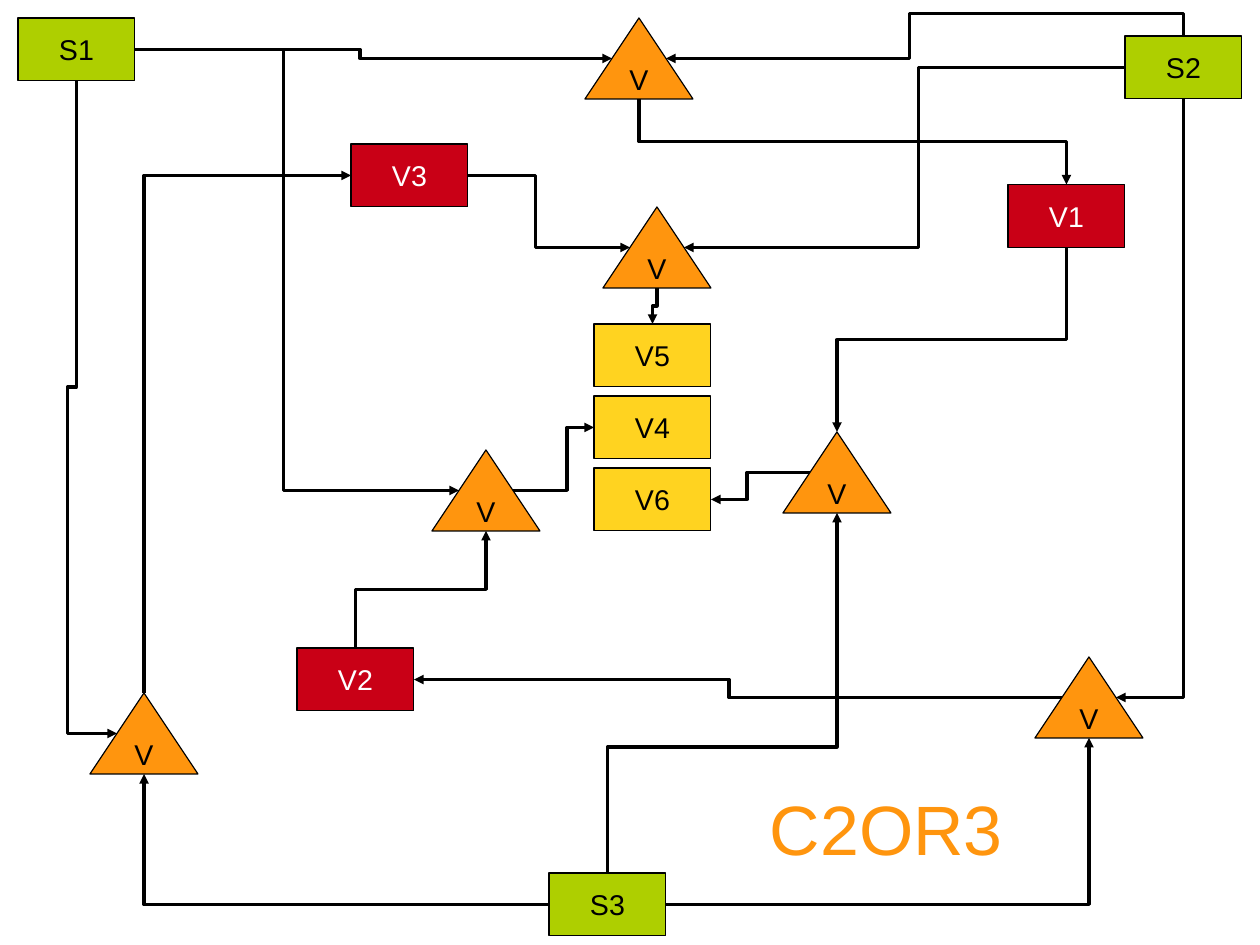
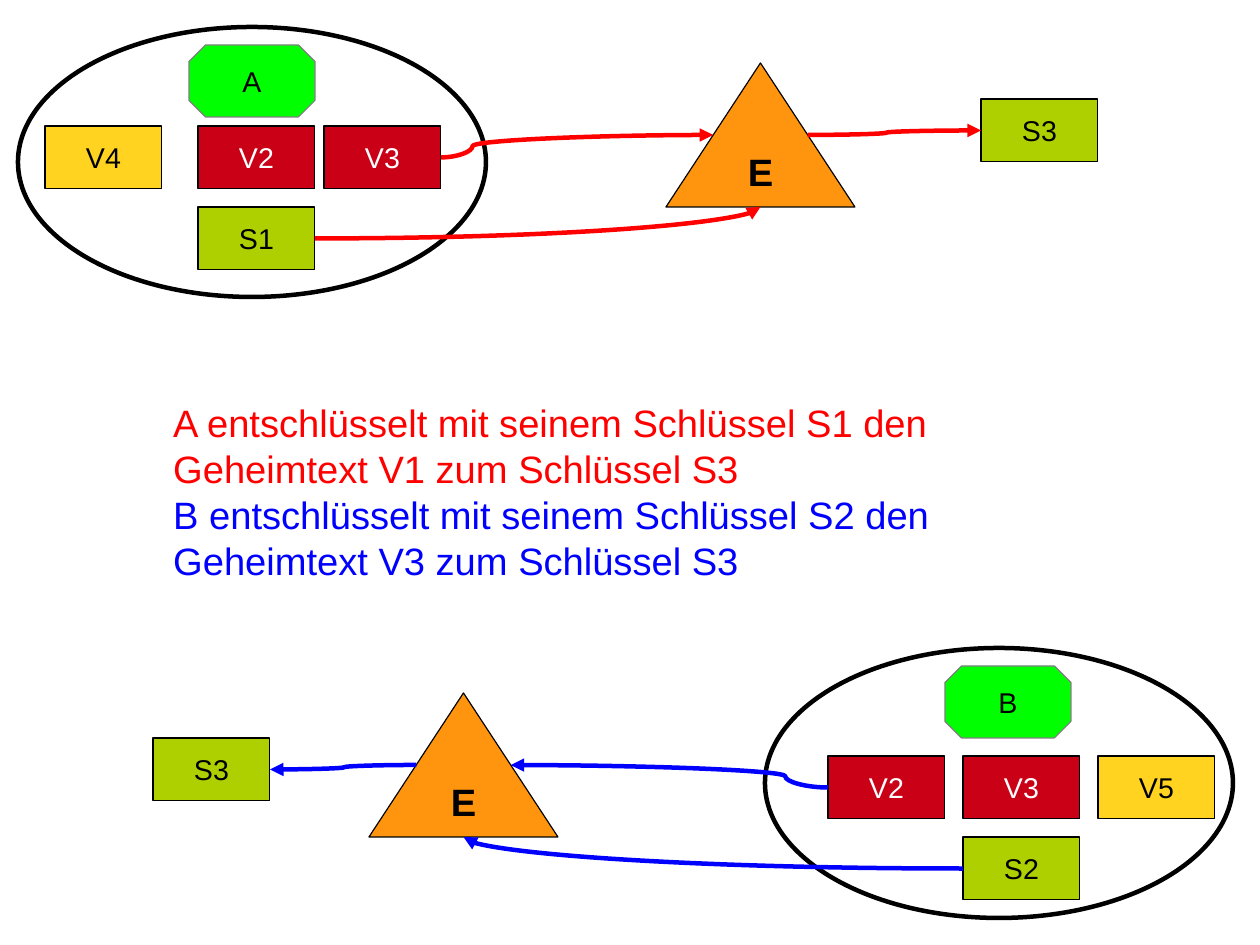
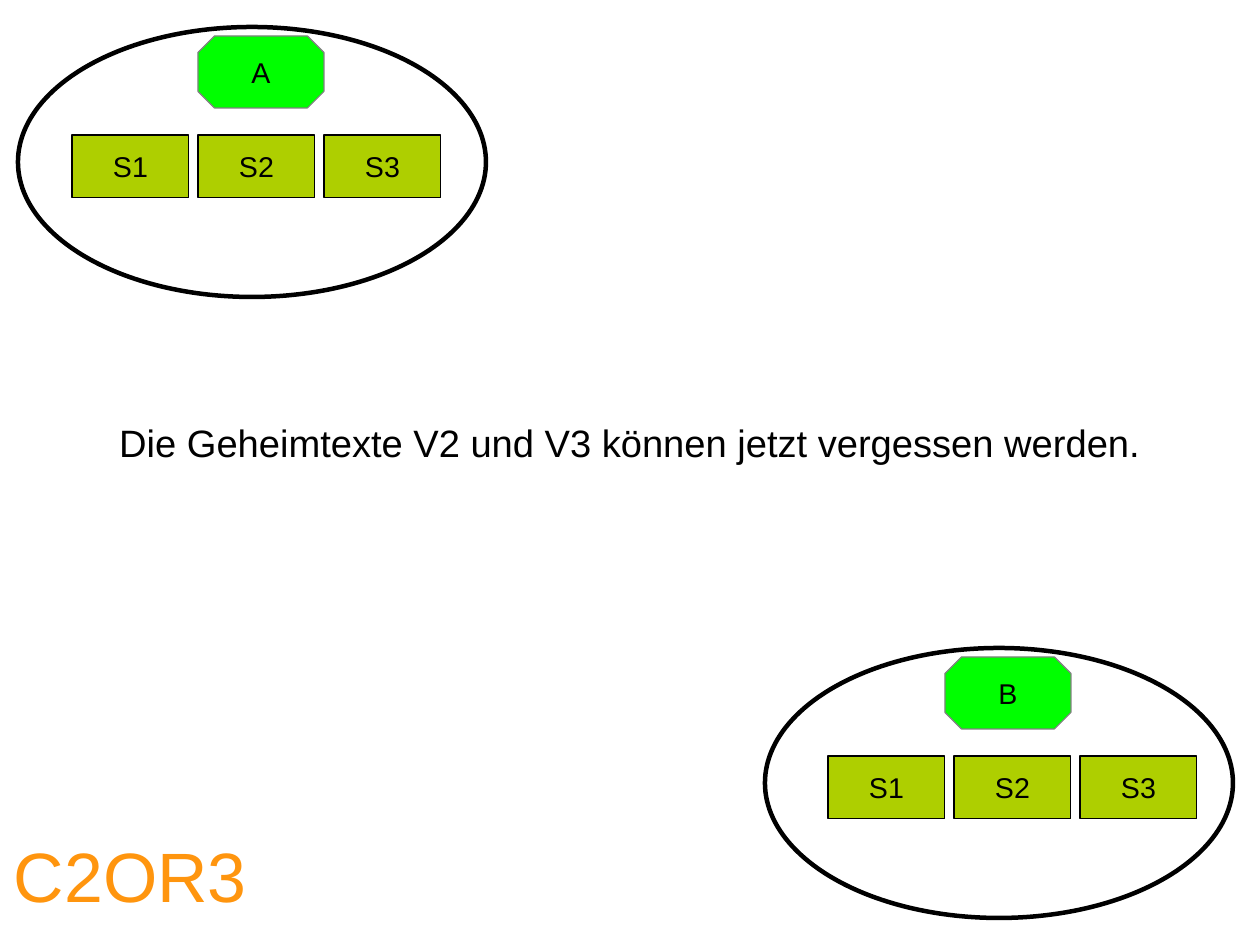
from dataclasses import dataclass

from lxml.etree import SubElement
from pptx import Presentation
from pptx.dml.color import RGBColor
from pptx.enum.shapes import MSO_CONNECTOR, MSO_SHAPE
from pptx.enum.text import MSO_ANCHOR, MSO_AUTO_SIZE, PP_ALIGN
from pptx.oxml.ns import qn
from pptx.util import Cm, Pt


@dataclass(frozen=True)
class Theme:
    font: str = "Arial"
    black: str = "000000"
    white: str = "FFFFFF"
    grey: str = "808080"
    key: str = "AECF00"
    cipher: str = "C90016"
    result: str = "FFD320"
    operator: str = "FF950E"
    person: str = "00FF00"
    a_side: str = "FF0000"
    b_side: str = "0000FF"
    label: int = 18
    body: int = 24
    title: int = 44
    hairline: float = 0
    bold_line: float = 2.83


T = Theme()
TITLE_ONLY, BLANK = 5, 6

# Connection sites: side -> (index, share of width, share of height)
RECT_SITES = {"top": (0, 0.5, 0), "left": (1, 0, 0.5),
              "bottom": (2, 0.5, 1), "right": (3, 1, 0.5)}
TRIANGLE_SITES = {"top": (0, 0.5, 0), "left": (1, 0.25, 0.5),
                  "bottom": (3, 0.5, 1), "right": (5, 0.75, 0.5)}


# Text
def write(tf, text, size=T.label, color=T.black, bold=False,
          align=PP_ALIGN.LEFT, new=False):
    p = tf.add_paragraph() if new else tf.paragraphs[0]
    p.alignment = align
    r = p.add_run()
    r.text = text
    r.font.name, r.font.size, r.font.bold = T.font, Pt(size), bold
    r.font.color.rgb = RGBColor.from_string(color)


def note(s, x, y, w, h, lines):
    tf = s.shapes.add_textbox(Cm(x), Cm(y), Cm(w), Cm(h)).text_frame
    tf.word_wrap = True
    for i, (text, color) in enumerate(lines):
        write(tf, text, size=T.body, color=color, new=i > 0)


def title(s, x, y):
    sp = s.shapes.title
    sp.left, sp.top, sp.width, sp.height = Cm(x), Cm(y), Cm(5.4), Cm(2.77)
    tf = sp.text_frame
    tf.auto_size = MSO_AUTO_SIZE.NONE
    tf.vertical_anchor = MSO_ANCHOR.MIDDLE
    tf.margin_left = tf.margin_right = tf.margin_top = tf.margin_bottom = 0
    write(tf, "C2OR3", size=T.title, color=T.operator, align=PP_ALIGN.CENTER)


# Shapes
def node(s, kind, x, y, w, h, text="", fill=None, line=T.black,
         weight=T.hairline, **text_format):
    sp = s.shapes.add_shape(kind, Cm(x), Cm(y), Cm(w), Cm(h))
    sp.shadow.inherit = False
    if fill:
        sp.fill.solid()
        sp.fill.fore_color.rgb = RGBColor.from_string(fill)
    else:
        sp.fill.background()
    sp.line.color.rgb = RGBColor.from_string(line)
    sp.line.width = Pt(weight)
    if text:
        tf = sp.text_frame
        tf.word_wrap = False
        tf.vertical_anchor = MSO_ANCHOR.MIDDLE
        write(tf, text, align=PP_ALIGN.CENTER, **text_format)
    return sp


def box(s, text, x, y, fill):
    color = T.white if fill == T.cipher else T.black
    return node(s, MSO_SHAPE.RECTANGLE, x, y, 2.6, 1.4, text, fill, color=color)


def encrypt(s, x, y):
    return node(s, MSO_SHAPE.ISOSCELES_TRIANGLE, x, y, 2.4, 1.8, "V", T.operator)


def decrypt(s, x, y):
    return node(s, MSO_SHAPE.ISOSCELES_TRIANGLE, x, y, 4.2, 3.2, "E", T.operator,
                size=T.body, bold=True)


def person(s, name, x, y, badge_dx, badge_dy):
    node(s, MSO_SHAPE.OVAL, x, y, 10.4, 6, weight=T.bold_line)
    badge = node(s, MSO_SHAPE.OCTAGON, x + badge_dx, y + badge_dy, 2.8, 1.6,
                 name, T.person, line=T.grey)
    badge.adjustments[0] = 0.23


# Connectors
def site(sp, side):
    triangle = sp.auto_shape_type == MSO_SHAPE.ISOSCELES_TRIANGLE
    index, fx, fy = (TRIANGLE_SITES if triangle else RECT_SITES)[side]
    return index, sp.left + sp.width * fx, sp.top + sp.height * fy


def link(s, source, out_side, target, in_side, *bends, curved=False,
         color=T.black, weight=T.hairline):
    """Join two shapes; bends are the positions (cm) of the inner segments,
    alternating between the axis of departure and the axis across it."""
    out_index, x1, y1 = site(source, out_side)
    in_index, x2, y2 = site(target, in_side)
    dx, dy = x2 - x1, y2 - y1

    # Turn the preset route, which departs to the right, to the side it leaves
    if out_side in ("left", "right"):
        w, h, axes = abs(dx), abs(dy), ((x1, dx), (y1, dy))
        turn, flip_h, flip_v = 0 if dx > 0 else 180, False, (dx > 0) != (dy > 0)
    else:
        w, h, axes = abs(dy), abs(dx), ((y1, dy), (x1, dx))
        turn, flip_h, flip_v = 90, dy < 0, dx > 0
        if dx > 0 and dy > 0:
            turn, flip_h, flip_v = 270, True, False
    half_w = -w / 2 if flip_h else w / 2
    half_h = -h / 2 if flip_v else h / 2
    mid_x, mid_y = (x1 + x2) / 2, (y1 + y2) / 2
    cx = s.shapes.add_connector(
        MSO_CONNECTOR.CURVE if curved else MSO_CONNECTOR.ELBOW,
        int(mid_x - half_w), int(mid_y - half_h),
        int(mid_x + half_w), int(mid_y + half_h))
    cx.rotation = turn
    cx.line.color.rgb = RGBColor.from_string(color)
    cx.line.width = Pt(weight)

    # Route, arrowhead, no shadow
    props = cx._element.spPr
    geom = props.find(qn("a:prstGeom"))
    geom.set("prst", f"{'curved' if curved else 'bent'}Connector{len(bends) + 2}")
    guides = geom.find(qn("a:avLst"))
    if guides is None:
        guides = SubElement(geom, qn("a:avLst"))
    for i, (bend, (start, length)) in enumerate(zip(bends, axes), 1):
        share = round((Cm(bend) - start) / length * 100000)
        SubElement(guides, qn("a:gd"), name=f"adj{i}", fmla=f"val {share}")
    SubElement(props.find(qn("a:ln")), qn("a:tailEnd"), type="triangle")
    SubElement(props, qn("a:effectLst"))

    # Joints at both ends; triangles have more than four sites
    joints = cx._element.find(qn("p:nvCxnSpPr")).find(qn("p:cNvCxnSpPr"))
    for tag, sp, index in (("a:stCxn", source, out_index),
                           ("a:endCxn", target, in_index)):
        SubElement(joints, qn(tag), id=str(sp.shape_id), idx=str(index))


# Slides
def encryption_slide(prs):
    s = prs.slides.add_slide(prs.slide_layouts[TITLE_ONLY])
    s1 = box(s, "S1", 0.4, 0.4, T.key)
    s2 = box(s, "S2", 25, 0.8, T.key)
    s3 = box(s, "S3", 12.2, 19.4, T.key)
    v1 = box(s, "V1", 22.4, 4.1, T.cipher)
    v2 = box(s, "V2", 6.6, 14.4, T.cipher)
    v3 = box(s, "V3", 7.8, 3.2, T.cipher)
    v5, v4, v6 = [box(s, name, 13.2, 7.2 + 1.6 * i, T.result)
                  for i, name in enumerate(("V5", "V4", "V6"))]
    to_v1 = encrypt(s, 13, 0.4)
    to_v2 = encrypt(s, 23, 14.6)
    to_v3 = encrypt(s, 2, 15.4)
    to_v4 = encrypt(s, 9.6, 10)
    to_v5 = encrypt(s, 13.4, 4.6)
    to_v6 = encrypt(s, 17.4, 9.6)

    for route in (
        # Keys to ciphertexts V1 to V3
        (s1, "right", to_v1, "left", 8),
        (s2, "top", to_v1, "right", 0.3, 20.2),
        (to_v1, "bottom", v1, "top", 3.15),
        (s3, "right", to_v2, "bottom"),
        (s2, "bottom", to_v2, "right"),
        (to_v2, "left", v2, "right", 16.2),
        (s3, "left", to_v3, "bottom"),
        (s1, "bottom", to_v3, "left", 8.6, 1.5),
        (to_v3, "top", v3, "left"),
        # Ciphertexts and keys to results V4 to V6
        (v2, "top", to_v4, "bottom", 13.1),
        (s1, "right", to_v4, "left", 6.3),
        (to_v4, "right", v4, "left", 12.6),
        (v3, "right", to_v5, "left", 11.9),
        (s2, "left", to_v5, "right", 20.4),
        (to_v5, "bottom", v5, "top", 6.8),
        (v1, "bottom", to_v6, "top", 7.55),
        (s3, "top", to_v6, "bottom", 16.6),
        (to_v6, "left", v6, "right", 16.6),
    ):
        link(s, *route)
    title(s, 17, 17)


def decryption_slide(prs):
    s = prs.slides.add_slide(prs.slide_layouts[BLANK])
    person(s, "B", 17, 14.4, 4, 0.4)
    person(s, "A", 0.4, 0.6, 3.8, 0.4)

    # What A and B hold
    box(s, "V4", 1, 2.8, T.result)
    box(s, "V2", 4.4, 2.8, T.cipher)
    a_cipher = box(s, "V3", 7.2, 2.8, T.cipher)
    a_key = box(s, "S1", 4.4, 4.6, T.key)
    b_cipher = box(s, "V2", 18.4, 16.8, T.cipher)
    box(s, "V3", 21.4, 16.8, T.cipher)
    box(s, "V5", 24.4, 16.8, T.result)
    b_key = box(s, "S2", 21.4, 18.6, T.key)

    # Decryption to S3
    a_step, a_out = decrypt(s, 14.8, 1.4), box(s, "S3", 21.8, 2.2, T.key)
    b_step, b_out = decrypt(s, 8.2, 15.4), box(s, "S3", 3.4, 16.4, T.key)
    for color, routes in (
        (T.a_side, ((a_key, "right", a_step, "bottom"),
                    (a_cipher, "right", a_step, "left", 10.5),
                    (a_step, "right", a_out, "left", 19.7))),
        (T.b_side, ((b_key, "left", b_step, "bottom"),
                    (b_cipher, "left", b_step, "right", 17.45),
                    (b_step, "left", b_out, "right", 7.65))),
    ):
        for route in routes:
            link(s, *route, curved=True, color=color, weight=T.bold_line)

    note(s, 3.6, 8.76, 18.8, 4.04, (
        ("A entschlüsselt mit seinem Schlüssel S1 den Geheimtext V1 zum Schlüssel S3",
         T.a_side),
        ("B entschlüsselt mit seinem Schlüssel S2 den Geheimtext V3 zum Schlüssel S3",
         T.b_side)))


def result_slide(prs):
    s = prs.slides.add_slide(prs.slide_layouts[TITLE_ONLY])
    for name, x, y, keys_dx in (("B", 17, 14.4, 1.4), ("A", 0.4, 0.6, 1.2)):
        person(s, name, x, y, 4, 0.2)
        for i, key in enumerate(("S1", "S2", "S3")):
            box(s, key, x + keys_dx + 2.8 * i, y + 2.4, T.key)
    note(s, 2.4, 9.2, 25.2, 1.2, (
        ("Die Geheimtexte V2 und V3 können jetzt vergessen werden.", T.black),))
    title(s, 0.2, 18.04)


def main():
    prs = Presentation()
    prs.slide_width, prs.slide_height = Cm(28), Cm(21)
    encryption_slide(prs)
    decryption_slide(prs)
    result_slide(prs)
    prs.save("out.pptx")


if __name__ == "__main__":
    main()
